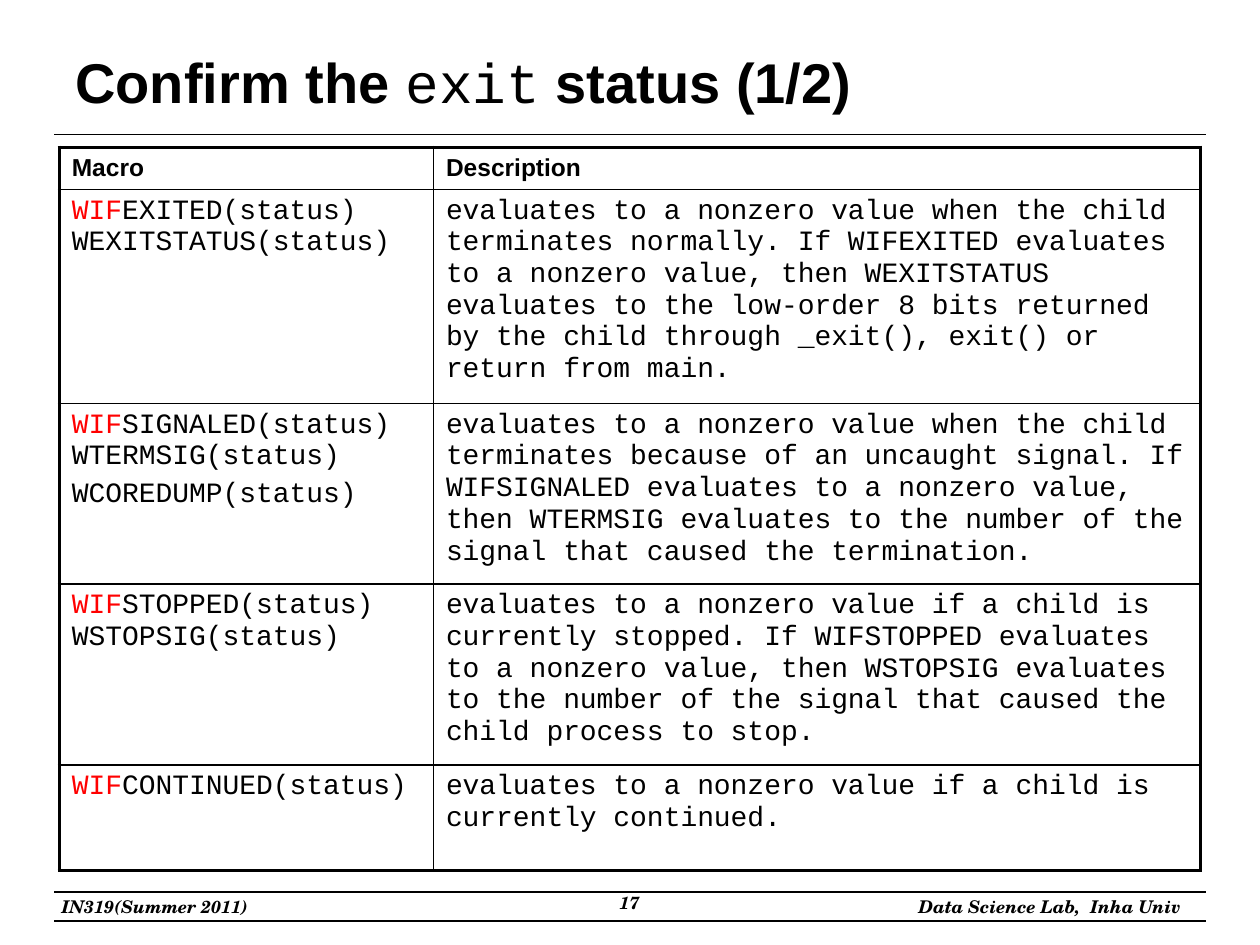
from dataclasses import dataclass

from lxml import etree
from pptx import Presentation
from pptx import util as u
from pptx.dml.color import RGBColor
from pptx.enum import shapes, text
from pptx.oxml import ns


@dataclass(frozen=True)
class Theme:
    ink: str = "000000"
    accent: str = "FF0000"
    heading_font: str = "Arial"
    code_font: str = "Courier New"
    footer_font: str = "TeX Gyre Schola"
    title_size: float = 32
    header_size: float = 14
    code_size: float = 16
    footer_size: float = 10
    rule_width: float = 0.75
    inner_border: float = 1
    outer_border: float = 2.25


class SlideBuilder:
    def __init__(self, slide, theme):
        self.slide = slide
        self.theme = theme

    def style(self, font, name=None, size=None, color=None, bold=None, italic=None):
        if name:
            font.name = name
        if size:
            font.size = u.Pt(size)
        if color:
            font.color.rgb = RGBColor.from_string(color)
        if bold is not None:
            font.bold = bold
        if italic is not None:
            font.italic = italic

    def rule(self, top, left=0.43, right=9.57):
        line = self.slide.shapes.add_connector(
            shapes.MSO_CONNECTOR.STRAIGHT,
            u.Inches(left), u.Inches(top), u.Inches(right), u.Inches(top))
        line.line.color.rgb = RGBColor.from_string(self.theme.ink)
        line.line.width = u.Pt(self.theme.rule_width)
        etree.SubElement(line._element.spPr, ns.qn("a:effectLst"))

    def text_box(self, left, top, width, height, wrap=True):
        box = self.slide.shapes.add_textbox(
            u.Inches(left), u.Inches(top), u.Inches(width), u.Inches(height))
        box.text_frame.word_wrap = wrap
        return box.text_frame

    def title(self, parts):
        frame = self.text_box(0.5, 0.3, 9, 0.69)
        frame.vertical_anchor = text.MSO_ANCHOR.MIDDLE
        paragraph = frame.paragraphs[0]
        self.style(paragraph.font, size=self.theme.title_size, color=self.theme.ink)
        for words, is_code in parts:
            run = paragraph.add_run()
            run.text = words
            name = self.theme.code_font if is_code else self.theme.heading_font
            self.style(run.font, name=name, bold=not is_code)

    def footer(self, words, left, top, width, height, align, wrap=False):
        paragraph = self.text_box(left, top, width, height, wrap).paragraphs[0]
        paragraph.text = words
        paragraph.alignment = align
        self.style(paragraph.font, self.theme.footer_font, self.theme.footer_size,
                   self.theme.ink, bold=True, italic=True)

    def table(self, left, top, columns, rows):
        table = self.slide.shapes.add_table(
            len(rows), len(columns), u.Inches(left), u.Inches(top),
            u.Inches(sum(columns)), u.Inches(sum(rows))).table
        table.first_row = table.horz_banding = False
        for column, width in zip(table.columns, columns):
            column.width = u.Inches(width)
        for row, height in zip(table.rows, rows):
            row.height = u.Inches(height)
        last_row, last_column = len(rows) - 1, len(columns) - 1
        for r in range(len(rows)):
            for c in range(len(columns)):
                cell = table.cell(r, c)
                cell.fill.background()
                self.borders(cell, {"L": c == 0, "R": c == last_column,
                                    "T": r == 0, "B": r == last_row})
        return table

    def borders(self, cell, outer_sides):
        properties = cell._tc.get_or_add_tcPr()
        for index, (side, is_outer) in enumerate(outer_sides.items()):
            width = self.theme.outer_border if is_outer else self.theme.inner_border
            border = etree.Element(ns.qn(f"a:ln{side}"), w=str(u.Pt(width)))
            fill = etree.SubElement(border, ns.qn("a:solidFill"))
            etree.SubElement(fill, ns.qn("a:srgbClr"), val=self.theme.ink)
            properties.insert(index, border)

    def header_cell(self, cell, words):
        paragraph = cell.text_frame.paragraphs[0]
        paragraph.text = words
        self.style(paragraph.font, self.theme.heading_font, self.theme.header_size,
                   self.theme.ink, bold=True)

    def code_paragraph(self, paragraph, words):
        paragraph.text = words
        self.style(paragraph.font, self.theme.code_font, self.theme.code_size,
                   self.theme.ink, bold=False)

    def macro_cell(self, cell, prefix, blocks):
        frame = cell.text_frame
        self.code_paragraph(frame.paragraphs[0], prefix + blocks[0])
        first = frame.paragraphs[0].runs[0]
        rest = first.text[len(prefix):]
        first.text = prefix
        self.style(first.font, color=self.theme.accent)
        remainder = frame.paragraphs[0].add_run()
        remainder.text = rest
        first._r.addnext(remainder._r)
        for block in blocks[1:]:
            paragraph = frame.add_paragraph()
            self.code_paragraph(paragraph, block)
            paragraph.space_before = u.Pt(0.2 * self.theme.code_size)


MACROS = [
    (["EXITED(status)\vWEXITSTATUS(status)"],
     "evaluates to a nonzero value when the child terminates normally. "
     "If WIFEXITED evaluates to a nonzero value, then WEXITSTATUS evaluates "
     "to the low-order 8 bits returned by the child through _exit(), exit() "
     "or return from main."),
    (["SIGNALED(status)\vWTERMSIG(status)", "WCOREDUMP(status)"],
     "evaluates to a nonzero value when the child terminates because of an "
     "uncaught signal. If WIFSIGNALED evaluates to a nonzero value, then "
     "WTERMSIG evaluates to the number of the signal that caused the "
     "termination."),
    (["STOPPED(status)\vWSTOPSIG(status)"],
     "evaluates to a nonzero value if a child is currently stopped. "
     "If WIFSTOPPED evaluates to a nonzero value, then WSTOPSIG evaluates "
     "to the number of the signal that caused the child process to stop."),
    (["CONTINUED(status)"],
     "evaluates to a nonzero value if a child is currently continued."),
]


def main():
    presentation = Presentation()
    presentation.slide_width = u.Inches(10)
    presentation.slide_height = u.Inches(7.5)
    slide = presentation.slides.add_slide(presentation.slide_layouts[6])
    builder = SlideBuilder(slide, Theme())

    for top in (1.07, 7.08, 7.31):
        builder.rule(top)
    builder.title([("Confirm the ", False), ("exit", True), (" status (1/2)", False)])

    table = builder.table(0.47, 1.17, [2.97, 6.09], [0.32, 1.61, 1.36, 1.36, 0.84])
    for column, heading in enumerate(("Macro", "Description")):
        builder.header_cell(table.cell(0, column), heading)
    for row, (blocks, description) in enumerate(MACROS, start=1):
        builder.macro_cell(table.cell(row, 0), "WIF", blocks)
        builder.code_paragraph(table.cell(row, 1).text_frame.paragraphs[0], description)

    align = text.PP_ALIGN
    builder.footer("IN319(Summer 2011)", 0.39, 7.06, 1.73, 0.27, align.LEFT)
    builder.footer("Data Science Lab,  Inha Univ", 7.16, 7.06, 2.31, 0.27, align.RIGHT)
    builder.footer("17", 3.83, 7.03, 2.33, 0.31, align.CENTER, wrap=True)

    presentation.save("out.pptx")


if __name__ == "__main__":
    main()
